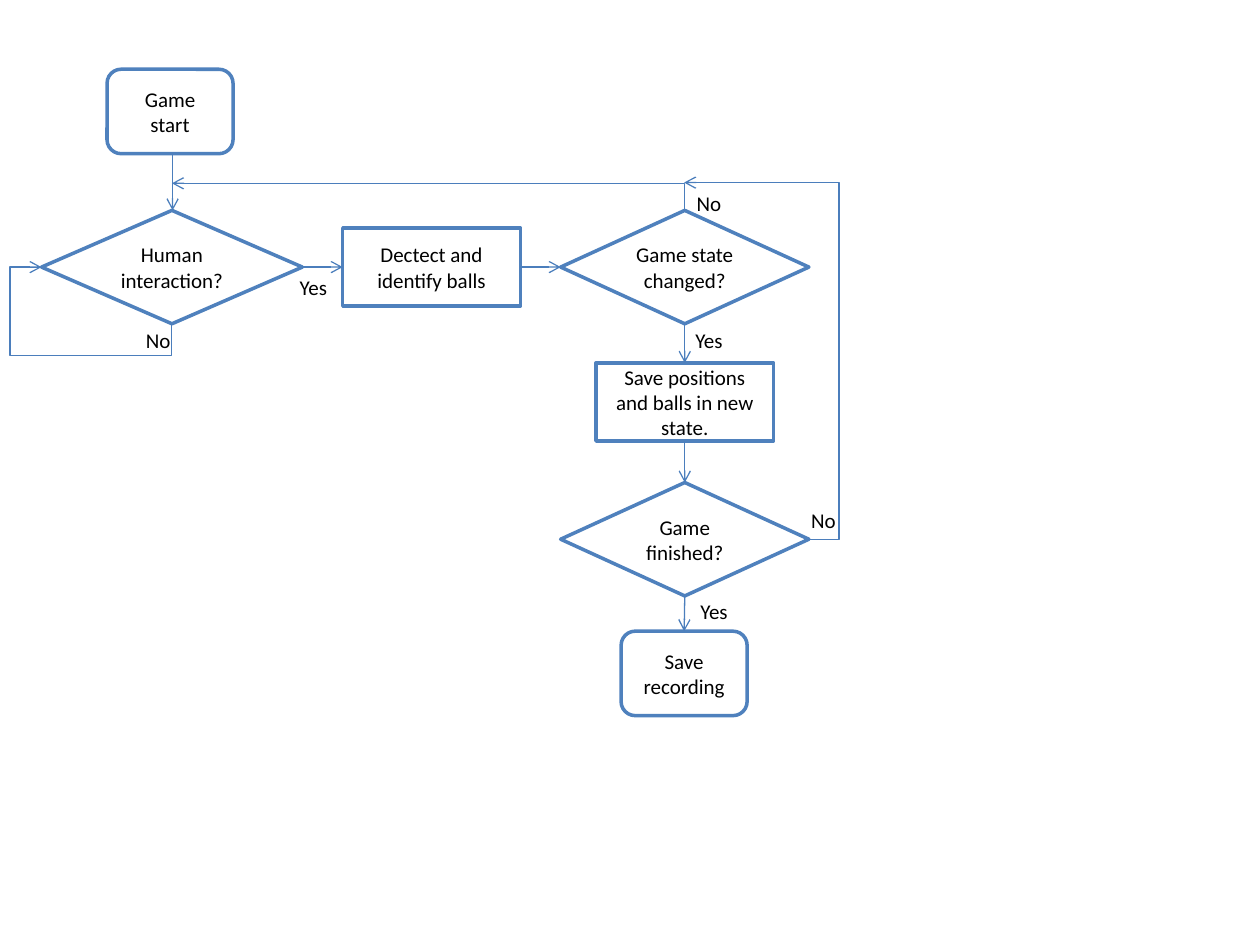
from lxml.etree import SubElement
from pptx import Presentation
from pptx.dml.color import RGBColor
from pptx.enum.shapes import MSO_CONNECTOR, MSO_SHAPE
from pptx.enum.text import MSO_ANCHOR, MSO_AUTO_SIZE, PP_ALIGN
from pptx.oxml.ns import qn
from pptx.util import Inches, Pt

TOP, LEFT, BOTTOM, RIGHT = range(4)


def color(value):
    """Return the colour for a hex string."""
    return RGBColor.from_string(value)


def add_run(paragraph, text):
    """Add a run in the chart's text style."""
    run = paragraph.add_run()
    run.text = text
    run.font.name = "Calibri"
    run.font.size = Pt(12)
    run.font.color.rgb = color("000000")


def add_step(slide, kind, text, left, top, width, height):
    """Add an outlined flowchart step with centred text."""
    shape = slide.shapes.add_shape(
        kind, Inches(left), Inches(top), Inches(width), Inches(height))
    shape.shadow.inherit = False
    shape.fill.solid()
    shape.fill.fore_color.rgb = color("FFFFFF")
    shape.line.color.rgb = color("4F81BD")
    shape.line.width = Pt(2)
    shape.text_frame.word_wrap = True
    shape.text_frame.vertical_anchor = MSO_ANCHOR.MIDDLE
    paragraph = shape.text_frame.paragraphs[0]
    paragraph.alignment = PP_ALIGN.CENTER
    add_run(paragraph, text)
    return shape


def add_label(slide, text, left, top):
    """Add a short branch label."""
    width = 0.42 if text == "Yes" else 0.4
    box = slide.shapes.add_textbox(
        Inches(left), Inches(top), Inches(width), Inches(0.3))
    box.text_frame.word_wrap = False
    box.text_frame.auto_size = MSO_AUTO_SIZE.SHAPE_TO_FIT_TEXT
    add_run(box.text_frame.paragraphs[0], text)


def add_arrow(slide, kind, start=(0, 0), end=(0, 0)):
    """Add a thin connector with an open arrowhead at its end."""
    points = [Inches(value) for value in (*start, *end)]
    connector = slide.shapes.add_connector(kind, *points)
    connector.line.color.rgb = color("4B7EBC")
    connector.line.width = Pt(0.75)
    SubElement(connector.line._get_or_add_ln(), qn("a:tailEnd"), type="arrow")
    SubElement(connector._element.spPr, qn("a:effectLst"))
    return connector


def link_steps(slide, source, source_side, target, target_side):
    """Join two steps with a straight arrow."""
    connector = add_arrow(slide, MSO_CONNECTOR.STRAIGHT)
    connector.begin_connect(source, source_side)
    connector.end_connect(target, target_side)


def add_elbow(slide, preset, box, rotation, flips, adjustments=()):
    """Add a bent arrow from its unrotated box, rotation and flips."""
    left, top, width, height = box
    connector = add_arrow(slide, MSO_CONNECTOR.ELBOW, (left, top),
                          (left + width, top + height))
    properties = connector._element.spPr
    transform = properties.find(qn("a:xfrm"))
    transform.set("rot", str(rotation * 60000))
    for flip in flips:
        transform.set(flip, "1")
    geometry = properties.find(qn("a:prstGeom"))
    geometry.set("prst", preset)
    values = geometry.find(qn("a:avLst"))
    for number, value in enumerate(adjustments, 1):
        SubElement(values, qn("a:gd"), name=f"adj{number}",
                   fmla=f"val {round(value * 100000)}")


def main():
    """Build the game recording flowchart."""
    presentation = Presentation()
    presentation.slide_width = Inches(10)
    presentation.slide_height = Inches(7.5)
    slide = presentation.slides.add_slide(presentation.slide_layouts[6])

    terminal = MSO_SHAPE.FLOWCHART_ALTERNATE_PROCESS
    process = MSO_SHAPE.FLOWCHART_PROCESS
    decision = MSO_SHAPE.FLOWCHART_DECISION
    add_step(slide, terminal, "Game start", 0.85, 0.55, 1, 0.67)
    interaction = add_step(
        slide, decision, "Human interaction?", 0.33, 1.67, 2.07, 0.9)
    detect = add_step(
        slide, process, "Dectect and identify balls", 2.72, 1.81, 1.41, 0.62)
    changed = add_step(
        slide, decision, "Game state changed?", 4.45, 1.67, 1.97, 0.9)
    save = add_step(slide, process, "Save positions and balls in new state.",
                    4.73, 2.88, 1.41, 0.62)
    finished = add_step(
        slide, decision, "Game finished?", 4.45, 3.83, 1.97, 0.9)
    recording = add_step(
        slide, terminal, "Save recording", 4.93, 5.01, 1, 0.67)

    add_arrow(slide, MSO_CONNECTOR.STRAIGHT, (1.37, 1.22), (1.37, 1.67))
    for source, target in ((interaction, detect), (detect, changed)):
        link_steps(slide, source, RIGHT, target, LEFT)
    for source, target in ((changed, save), (save, finished),
                           (finished, recording)):
        link_steps(slide, source, BOTTOM, target, TOP)

    add_elbow(slide, "bentConnector4", (0.62, 1.83, 0.45, 1.03), 90,
              ["flipH"], (-0.556, 1.242))
    add_elbow(slide, "bentConnector2", (3.29, -0.47, 0.22, 4.07), 270,
              ["flipV"])
    add_elbow(slide, "bentConnector4", (5.43, 1.45, 0.98, 2.83), 0,
              ["flipH", "flipV"], (-0.254, 1))

    for text, left, top in (
            ("No", 1.06, 2.55), ("No", 6.34, 3.98), ("No", 5.43, 1.46),
            ("Yes", 2.28, 2.13), ("Yes", 5.46, 4.7), ("Yes", 5.42, 2.55)):
        add_label(slide, text, left, top)

    presentation.save("out.pptx")


main()
